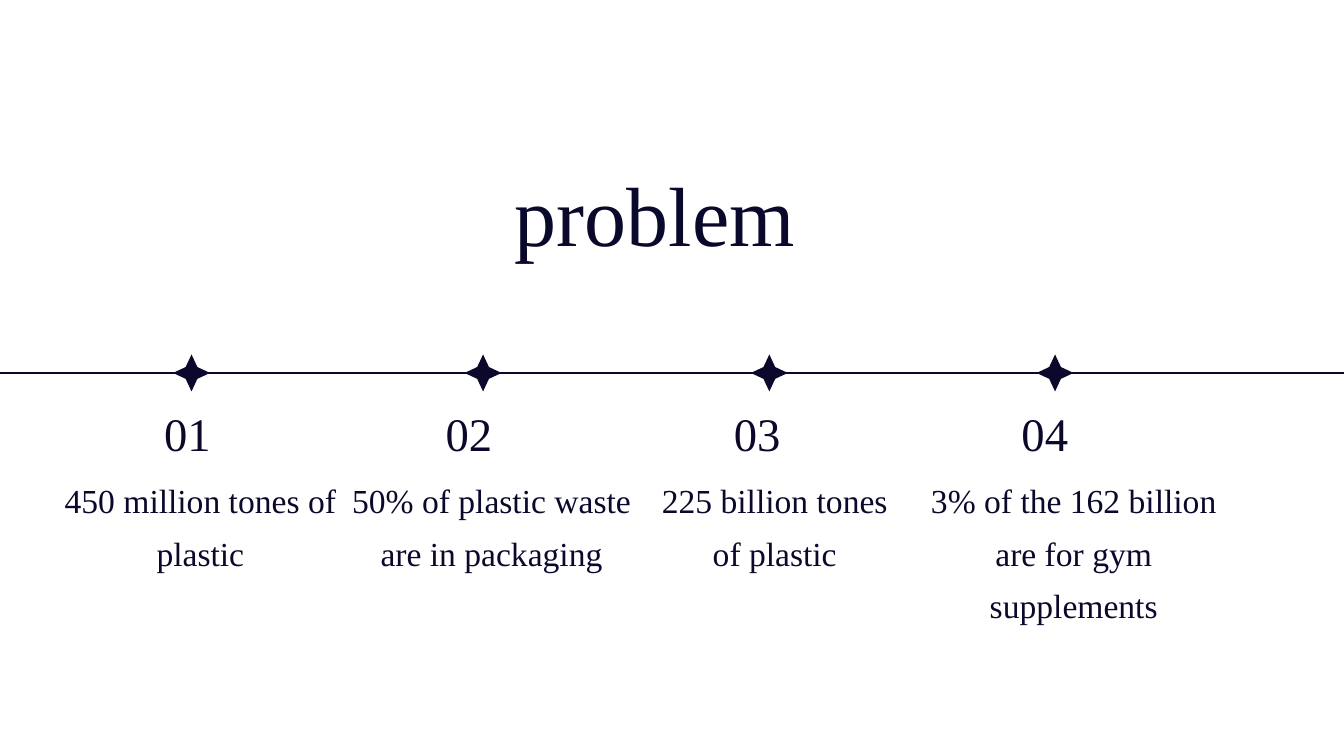
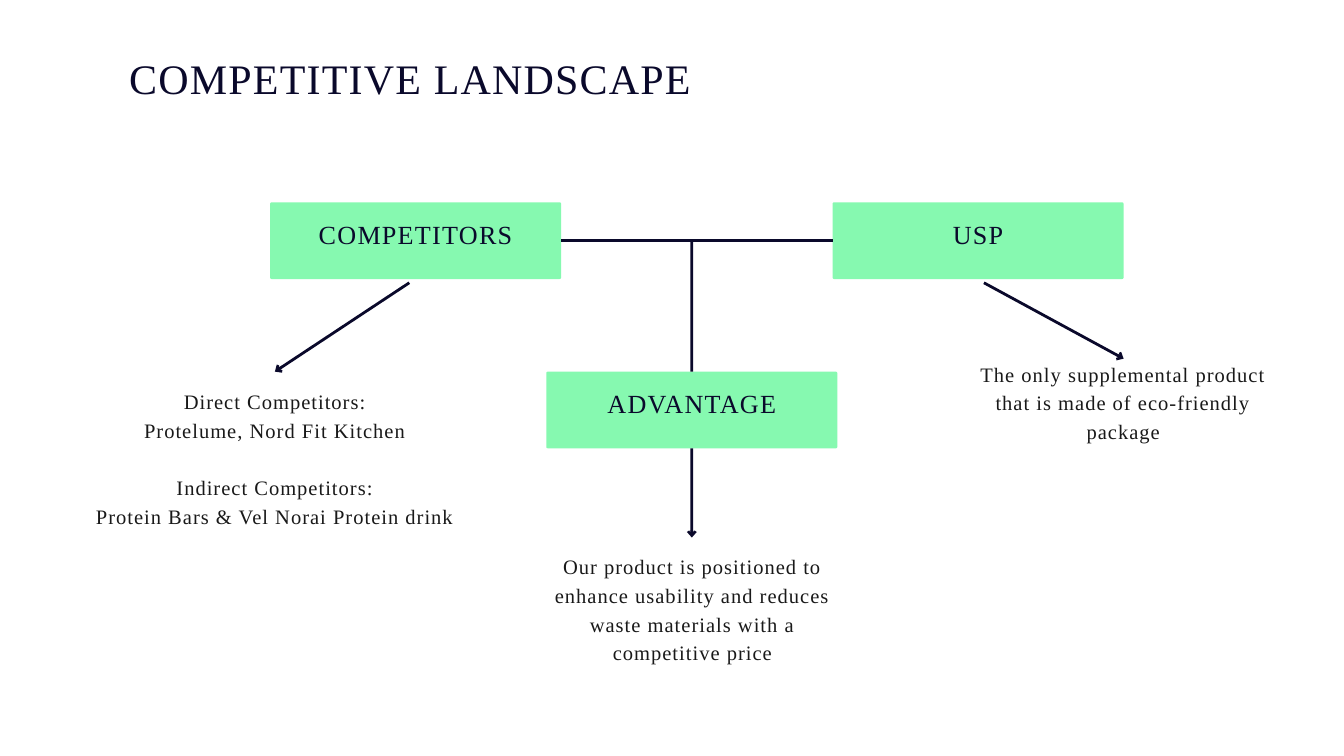
from dataclasses import dataclass, field

from lxml import etree
from pptx import Presentation
from pptx import util as u
from pptx.dml import color
from pptx.enum import shapes, text
from pptx.oxml import ns

TOP, LEFT, BOTTOM, RIGHT = range(4)


@dataclass(frozen=True)
class TextStyle:
    size: float
    leading: float
    colour: str
    tracking: float = 0
    align: text.PP_ALIGN = text.PP_ALIGN.CENTER


@dataclass(frozen=True)
class Theme:
    font: str = "Times New Roman"
    navy: str = "0A092B"
    green: str = "86F9B0"
    black: str = "191919"
    white: str = "FFFFFF"
    title: TextStyle = TextStyle(90, 87.3, navy)
    heading: TextStyle = TextStyle(45, 58.9, navy, 1.3)
    number: TextStyle = TextStyle(50, 51.5, navy, align=text.PP_ALIGN.LEFT)
    fact: TextStyle = TextStyle(36, 56.2, navy)
    label: TextStyle = TextStyle(28, 42, navy, 1.4)
    note: TextStyle = TextStyle(22, 30.8, black, 1.1)
    timeline_width: float = 2.25
    branch_width: float = 3


THEME = Theme()


@dataclass(frozen=True)
class Area:
    left: float
    top: float
    width: float
    height: float

    def lengths(self):
        return [u.Cm(v) for v in (self.left, self.top, self.width, self.height)]


@dataclass(frozen=True)
class Milestone:
    star_x: float
    number_left: float
    fact_left: float
    fact_width: float
    fact: str


@dataclass(frozen=True)
class Topic:
    label: str
    left: float
    top: float
    note_area: Area
    groups: list[list[str]] = field(default_factory=list)


MILESTONES = [
    Milestone(7.24, 6.2, 2.24, 10.67, "450 million tones of plastic"),
    Milestone(18.26, 16.84, 12.98, 11.2, "50% of plastic waste are in packaging"),
    Milestone(29.08, 27.74, 24.74, 9.09, "225 billion tones of plastic"),
    Milestone(39.88, 38.61, 34.49, 12.19,
              "3% of the 162 billion are for gym supplements"),
]
TIMELINE_Y = 14.1
STAR_SIZE = 1.4
STAR_WAIST = 0.225

TOPICS = [
    Topic("COMPETITORS", 10.21, 7.65, Area(3.02, 13.94, 14.73, 6.66), [
        ["Direct Competitors:", "Protelume, Nord Fit Kitchen"],
        ["Indirect Competitors:", "Protein Bars & Vel Norai Protein drink"],
    ]),
    Topic("USP", 31.47, 7.65, Area(36.98, 13.44, 10.95, 3.41), [
        ["The only supplemental product that is made of eco-friendly package"],
    ]),
    Topic("ADVANTAGE", 20.65, 14.05, Area(20.7, 20.19, 10.95, 5.56), [
        ["Our product is positioned to enhance usability and reduces "
         "waste materials with a competitive price"],
    ]),
]
TOPIC_WIDTH = 11
TOPIC_HEIGHT = 2.9
TOPIC_CORNER = 0.02
LABEL_LIFT = 0.8


def rgb(value: str) -> color.RGBColor:
    return color.RGBColor.from_string(value)


def new_page(deck):
    page = deck.slides.add_slide(deck.slide_layouts[6])
    page.background.fill.solid()
    page.background.fill.fore_color.rgb = rgb(THEME.white)
    return page


def format_paragraph(para, style: TextStyle) -> None:
    para.alignment = style.align
    para.line_spacing = u.Pt(style.leading)
    for span in para.runs:
        span.font.name = THEME.font
        span.font.size = u.Pt(style.size)
        span.font.color.rgb = rgb(style.colour)
        if style.tracking:
            span._r.get_or_add_rPr().set("spc", str(round(style.tracking * 100)))


def fill_frame(frame, groups: list[list[str]], style: TextStyle,
               anchor=text.MSO_ANCHOR.TOP) -> None:
    frame.word_wrap = True
    frame.vertical_anchor = anchor
    frame.margin_left = frame.margin_right = 0
    frame.margin_top = frame.margin_bottom = 0
    frame.text = "\n".join(line for group in groups for line in group)
    for para in frame.paragraphs:
        format_paragraph(para, style)
    start = 0
    for group in groups[:-1]:
        start += len(group)
        frame.paragraphs[start].space_before = u.Pt(style.leading)


def add_text(page, area: Area, groups: list[list[str]], style: TextStyle,
             anchor=text.MSO_ANCHOR.TOP) -> None:
    box = page.shapes.add_textbox(*area.lengths())
    fill_frame(box.text_frame, groups, style, anchor)


def add_block(page, preset, area: Area, fill: str, adjustment: float):
    block = page.shapes.add_shape(preset, *area.lengths())
    block.shadow.inherit = False
    block.adjustments[0] = adjustment
    block.fill.solid()
    block.fill.fore_color.rgb = rgb(fill)
    block.line.fill.background()
    return block


def add_line(page, start: tuple[float, float], end: tuple[float, float],
             width: float, arrow: bool = False):
    line = page.shapes.add_connector(
        shapes.MSO_CONNECTOR.STRAIGHT, *[u.Cm(v) for v in start + end])
    line.line.color.rgb = rgb(THEME.navy)
    line.line.width = u.Pt(width)
    if arrow:
        etree.SubElement(line.line._get_or_add_ln(), ns.qn("a:tailEnd"),
                         type="arrow", w="med", len="sm")
    etree.SubElement(line._element.spPr, ns.qn("a:effectLst"))
    return line


def add_milestone(page, number: int, item: Milestone) -> None:
    star = Area(item.star_x - STAR_SIZE / 2, TIMELINE_Y - STAR_SIZE / 2,
                STAR_SIZE, STAR_SIZE)
    add_block(page, shapes.MSO_SHAPE.STAR_4_POINT, star, THEME.navy, STAR_WAIST)
    add_text(page, Area(item.number_left, 15.62, 6.1, 1.85),
             [[f"{number:02}"]], THEME.number)
    add_text(page, Area(item.fact_left, 17.7, item.fact_width, 7.75),
             [[item.fact]], THEME.fact)


def add_topic(page, topic: Topic):
    area = Area(topic.left, topic.top, TOPIC_WIDTH, TOPIC_HEIGHT)
    block = add_block(page, shapes.MSO_SHAPE.ROUNDED_RECTANGLE, area,
                      THEME.green, TOPIC_CORNER)
    fill_frame(block.text_frame, [[topic.label]], THEME.label,
               text.MSO_ANCHOR.MIDDLE)
    block.text_frame.margin_bottom = u.Cm(LABEL_LIFT)
    add_text(page, topic.note_area, topic.groups, THEME.note,
             text.MSO_ANCHOR.MIDDLE)
    return block


def build_problem(deck) -> None:
    page = new_page(deck)
    add_line(page, (0, TIMELINE_Y), (50.8, TIMELINE_Y), THEME.timeline_width)
    add_text(page, Area(12.5, 6.86, 24.51, 3.25), [["problem"]], THEME.title)
    for number, item in enumerate(MILESTONES, 1):
        add_milestone(page, number, item)


def build_landscape(deck) -> None:
    page = new_page(deck)
    add_text(page, Area(1.68, 1.8, 27.66, 2.01),
             [["COMPETITIVE LANDSCAPE"]], THEME.heading)
    competitors, usp, advantage = [add_topic(page, topic) for topic in TOPICS]

    row_y = TOPICS[0].top + TOPIC_HEIGHT / 2
    stem_x = TOPICS[2].left + TOPIC_WIDTH / 2
    stem_top = TOPICS[2].top
    stem_bottom = stem_top + TOPIC_HEIGHT
    width = THEME.branch_width

    bridge = add_line(page, (TOPICS[0].left + TOPIC_WIDTH, row_y),
                      (TOPICS[1].left, row_y), width)
    bridge.begin_connect(competitors, RIGHT)
    bridge.end_connect(usp, LEFT)
    stem = add_line(page, (stem_x, row_y), (stem_x, stem_top), width)
    stem.end_connect(advantage, TOP)
    outcome = add_line(page, (stem_x, stem_bottom), (stem_x, 20.32), width, True)
    outcome.begin_connect(advantage, BOTTOM)

    add_line(page, (15.47, 10.69), (10.39, 14.05), width, True)
    add_line(page, (37.19, 10.69), (42.47, 13.56), width, True)


def main() -> None:
    deck = Presentation()
    deck.slide_width = u.Cm(50.8)
    deck.slide_height = u.Cm(28.58)
    build_problem(deck)
    build_landscape(deck)
    deck.save("out.pptx")


if __name__ == "__main__":
    main()
